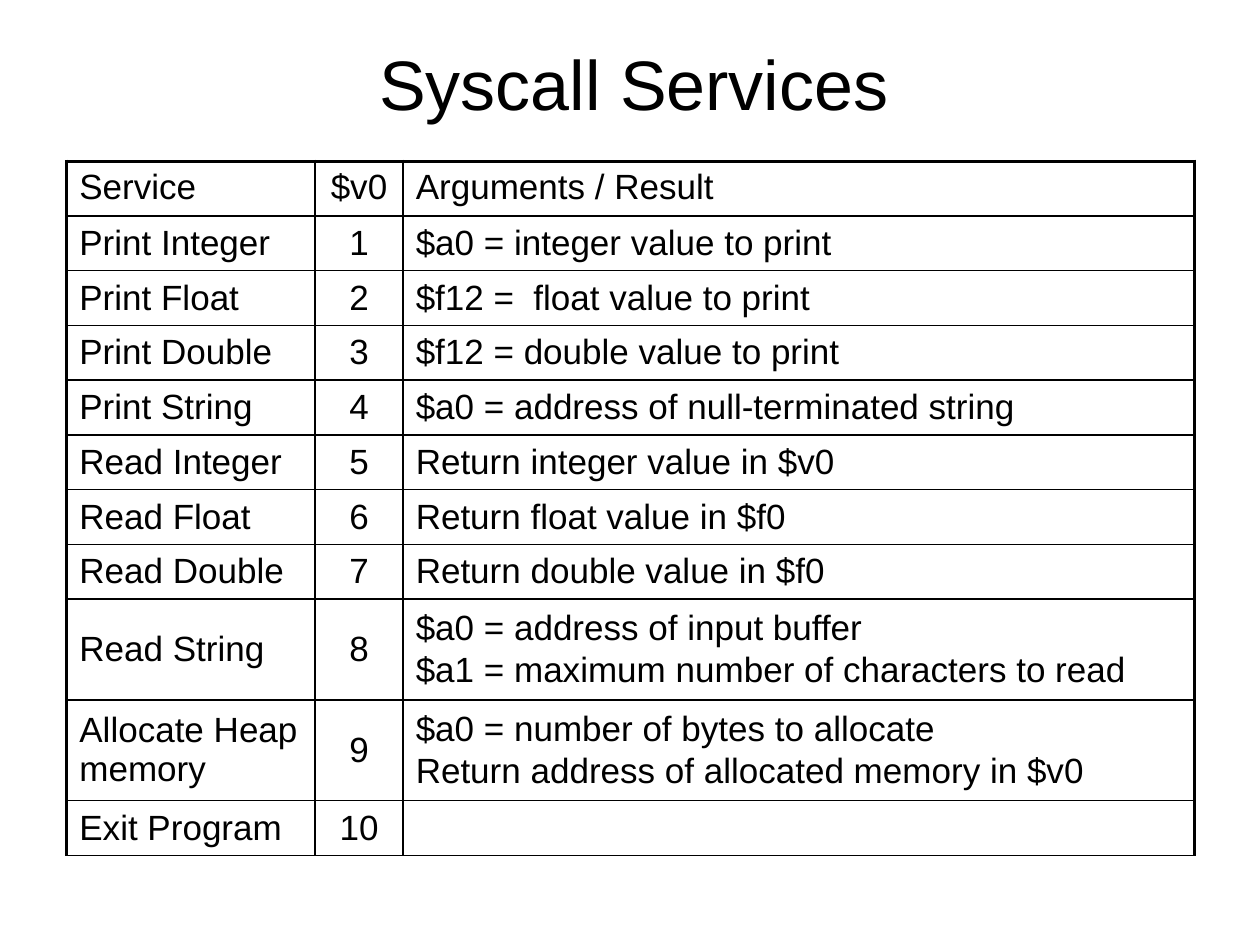
"""Build the Syscall Services slide with its table of service codes."""

from dataclasses import dataclass

from lxml import etree
from pptx import Presentation
from pptx.dml.color import RGBColor
from pptx.enum.text import MSO_ANCHOR, PP_ALIGN
from pptx.oxml.ns import qn
from pptx.slide import Slide
from pptx.table import Table, _Cell
from pptx.text.text import TextFrame
from pptx.util import Inches, Pt

LEFT, CENTER = PP_ALIGN.LEFT, PP_ALIGN.CENTER
TOP, MIDDLE = MSO_ANCHOR.TOP, MSO_ANCHOR.MIDDLE
BLACK = RGBColor(0x00, 0x00, 0x00)
WHITE = RGBColor(0xFF, 0xFF, 0xFF)
FONT = "Arial"
THIN, THICK = Pt(1), Pt(2.25)

TABLE_LEFT, TABLE_TOP, TABLE_HEIGHT = 0.53, 1.28, 5.51
COLUMN_WIDTHS = (1.97, 0.7, 6.28)
COLUMN_ALIGNMENTS = (LEFT, CENTER, LEFT)
TALL_ROW = 0.8


@dataclass(frozen=True)
class Service:
    """One table row: service name, code in $v0 and its arguments or result."""

    name: str
    code: str
    arguments: str

    @property
    def is_tall(self) -> bool:
        """Tell whether the arguments need two lines."""
        return "\n" in self.arguments


SERVICES = (
    Service("Service", "$v0", "Arguments / Result"),
    Service("Print Integer", "1", "$a0 = integer value to print"),
    Service("Print Float", "2", "$f12 =  float value to print"),
    Service("Print Double", "3", "$f12 = double value to print"),
    Service("Print String", "4", "$a0 = address of null-terminated string"),
    Service("Read Integer", "5", "Return integer value in $v0"),
    Service("Read Float", "6", "Return float value in $f0"),
    Service("Read Double", "7", "Return double value in $f0"),
    Service(
        "Read String",
        "8",
        "$a0 = address of input buffer\n$a1 = maximum number of characters to read",
    ),
    Service(
        "Allocate Heap memory",
        "9",
        "$a0 = number of bytes to allocate\nReturn address of allocated memory in $v0",
    ),
    Service("Exit Program", "10", ""),
)


def write_text(text_frame: TextFrame, text: str, size: int, alignment: PP_ALIGN) -> None:
    """Fill a text frame and format all its paragraphs alike."""
    text_frame.text = text
    text_frame.word_wrap = True
    for index, paragraph in enumerate(text_frame.paragraphs):
        paragraph.alignment = alignment
        paragraph.space_before = Pt(2 if index else 0)
        paragraph.font.size = Pt(size)
        for run in paragraph.runs:
            run.font.name = FONT
            run.font.size = Pt(size)
            run.font.color.rgb = BLACK


def set_borders(cell: _Cell, left: int, right: int, top: int, bottom: int) -> None:
    """Draw solid black borders of the given widths around a cell."""
    properties = cell._tc.get_or_add_tcPr()
    for tag, width in (("a:lnL", left), ("a:lnR", right), ("a:lnT", top), ("a:lnB", bottom)):
        line = etree.SubElement(properties, qn(tag), w=str(int(width)))
        fill = etree.SubElement(line, qn("a:solidFill"))
        etree.SubElement(fill, qn("a:srgbClr"), val=str(BLACK))


def add_title(slide: Slide, text: str) -> None:
    """Add the centred slide title."""
    title = slide.shapes.add_textbox(Inches(0.53), Inches(0.03), Inches(9), Inches(1.25))
    write_text(title.text_frame, text, 40, CENTER)
    title.text_frame.vertical_anchor = MIDDLE


def fill_row(table: Table, row: int, service: Service) -> None:
    """Write and style the cells of one service."""
    last_column = len(COLUMN_WIDTHS) - 1
    texts = (service.name, service.code, service.arguments)
    for column, (text, alignment) in enumerate(zip(texts, COLUMN_ALIGNMENTS)):
        cell = table.cell(row, column)
        write_text(cell.text_frame, text, 20, alignment)
        cell.vertical_anchor = MIDDLE if row else TOP
        set_borders(
            cell,
            left=THIN if column else THICK,
            right=THICK if column == last_column else THIN,
            top=THIN if row else THICK,
            bottom=THIN,
        )
        cell.fill.solid()
        cell.fill.fore_color.rgb = WHITE


def add_service_table(slide: Slide, services: tuple[Service, ...]) -> None:
    """Add the table, sharing the height left by tall rows among the others."""
    table = slide.shapes.add_table(
        len(services),
        len(COLUMN_WIDTHS),
        Inches(TABLE_LEFT),
        Inches(TABLE_TOP),
        Inches(sum(COLUMN_WIDTHS)),
        Inches(TABLE_HEIGHT),
    ).table
    table.first_row = False
    table.horz_banding = False
    for column, width in zip(table.columns, COLUMN_WIDTHS):
        column.width = Inches(width)
    tall_count = sum(service.is_tall for service in services)
    short_row = (TABLE_HEIGHT - tall_count * TALL_ROW) / (len(services) - tall_count)
    for index, service in enumerate(services):
        table.rows[index].height = Inches(TALL_ROW if service.is_tall else short_row)
        fill_row(table, index, service)


def main() -> None:
    """Create and save the presentation."""
    presentation = Presentation()
    presentation.slide_width = Inches(10)
    presentation.slide_height = Inches(7.5)
    slide = presentation.slides.add_slide(presentation.slide_layouts[6])
    add_title(slide, "Syscall Services")
    add_service_table(slide, SERVICES)
    presentation.save("out.pptx")


if __name__ == "__main__":
    main()
